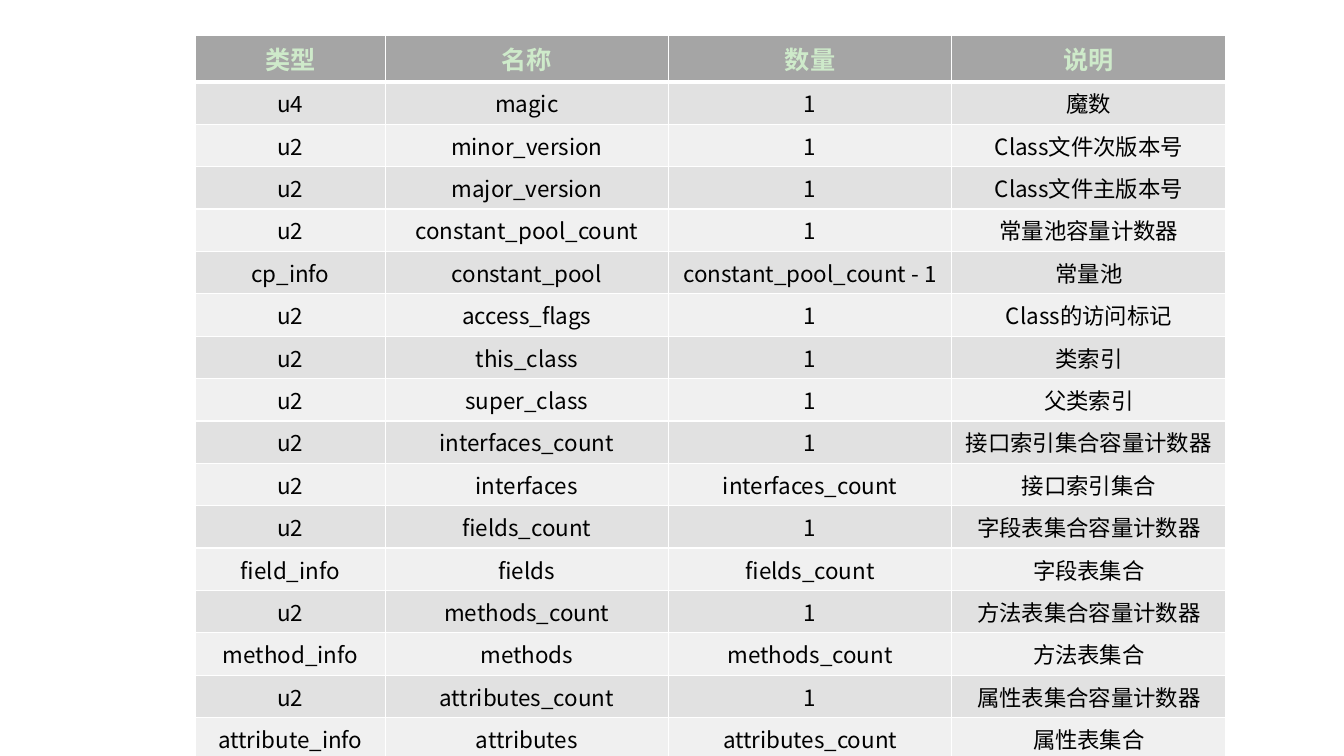
from lxml import etree
from pptx import Presentation
from pptx.dml.color import RGBColor
from pptx.enum.text import MSO_ANCHOR, PP_ALIGN
from pptx.oxml.ns import qn
from pptx.util import Inches, Pt

CENTER = PP_ALIGN.CENTER
MIDDLE = MSO_ANCHOR.MIDDLE
FONT = "Noto Sans CJK SC"
WHITE = RGBColor(0xFF, 0xFF, 0xFF)
BLACK = RGBColor(0x00, 0x00, 0x00)
PALE_GREEN = RGBColor(0xCE, 0xEA, 0xCA)
HEADER_GRAY = RGBColor(0xA5, 0xA5, 0xA5)
DARK_BAND = RGBColor(0xE1, 0xE1, 0xE1)
LIGHT_BAND = RGBColor(0xF0, 0xF0, 0xF0)

COLUMN_WIDTHS = (1.88, 2.81, 2.81, 2.72)
ROW_HEIGHT = 0.37
HEADINGS = ("类型", "名称", "数量", "说明")
CLASS_FIELDS = (
    ("u4", "magic", "1", "魔数"),
    ("u2", "minor_version", "1", "Class文件次版本号"),
    ("u2", "major_version", "1", "Class文件主版本号"),
    ("u2", "constant_pool_count", "1", "常量池容量计数器"),
    ("cp_info", "constant_pool", "constant_pool_count - 1", "常量池"),
    ("u2", "access_flags", "1", "Class的访问标记"),
    ("u2", "this_class", "1", "类索引"),
    ("u2", "super_class", "1", "父类索引"),
    ("u2", "interfaces_count", "1", "接口索引集合容量计数器"),
    ("u2", "interfaces", "interfaces_count", "接口索引集合"),
    ("u2", "fields_count", "1", "字段表集合容量计数器"),
    ("field_info", "fields", "fields_count", "字段表集合"),
    ("u2", "methods_count", "1", "方法表集合容量计数器"),
    ("method_info", "methods", "methods_count", "方法表集合"),
    ("u2", "attributes_count", "1", "属性表集合容量计数器"),
    ("attribute_info", "attributes", "attributes_count", "属性表集合"),
)


def write_text(frame, text, size, color, bold=False):
    para = frame.paragraphs[0]
    para.alignment = CENTER
    span = para.add_run()
    span.text = text
    font = span.font
    font.name, font.size, font.bold = FONT, Pt(size), bold
    font.color.rgb = color
    etree.SubElement(font._element, qn("a:ea"), typeface=FONT)


def set_borders(cell, top=1, bottom=1):
    properties = cell._tc.get_or_add_tcPr()
    sides = (("a:lnL", 1), ("a:lnR", 1), ("a:lnT", top), ("a:lnB", bottom))
    for position, (tag, width) in enumerate(sides):
        line = etree.Element(qn(tag), w=str(Pt(width)))
        fill = etree.SubElement(line, qn("a:solidFill"))
        etree.SubElement(fill, qn("a:srgbClr"), val=str(WHITE))
        properties.insert(position, line)


def fill_cell(cell, text, fill, size=16, color=BLACK, bold=False, top=1, bottom=1):
    cell.fill.solid()
    cell.fill.fore_color.rgb = fill
    cell.vertical_anchor = MIDDLE
    write_text(cell.text_frame, text, size, color, bold)
    set_borders(cell, top, bottom)


def add_class_table(page, left, top, width, height):
    rows = len(CLASS_FIELDS) + 1
    table = page.shapes.add_table(
        rows, len(HEADINGS), Inches(left), Inches(top), Inches(width), Inches(height)
    ).table
    for column, share in zip(table.columns, COLUMN_WIDTHS):
        column.width = Inches(width * share / sum(COLUMN_WIDTHS))
    for row in table.rows:
        row.height = Inches(height / rows)
    for column, heading in enumerate(HEADINGS):
        fill_cell(table.cell(0, column), heading, HEADER_GRAY,
                  size=18, color=PALE_GREEN, bold=True, bottom=3)
    for row, values in enumerate(CLASS_FIELDS, start=1):
        band = DARK_BAND if row % 2 else LIGHT_BAND
        for column, value in enumerate(values):
            fill_cell(table.cell(row, column), value, band, top=3 if row == 1 else 1)


def main():
    deck = Presentation()
    deck.slide_width, deck.slide_height = Inches(13.33), Inches(7.5)
    page = deck.slides.add_slide(deck.slide_layouts[6])
    add_class_table(page, 1.94, 0.35, sum(COLUMN_WIDTHS),
                    ROW_HEIGHT * (len(CLASS_FIELDS) + 1))
    deck.save("out.pptx")


if __name__ == "__main__":
    main()
